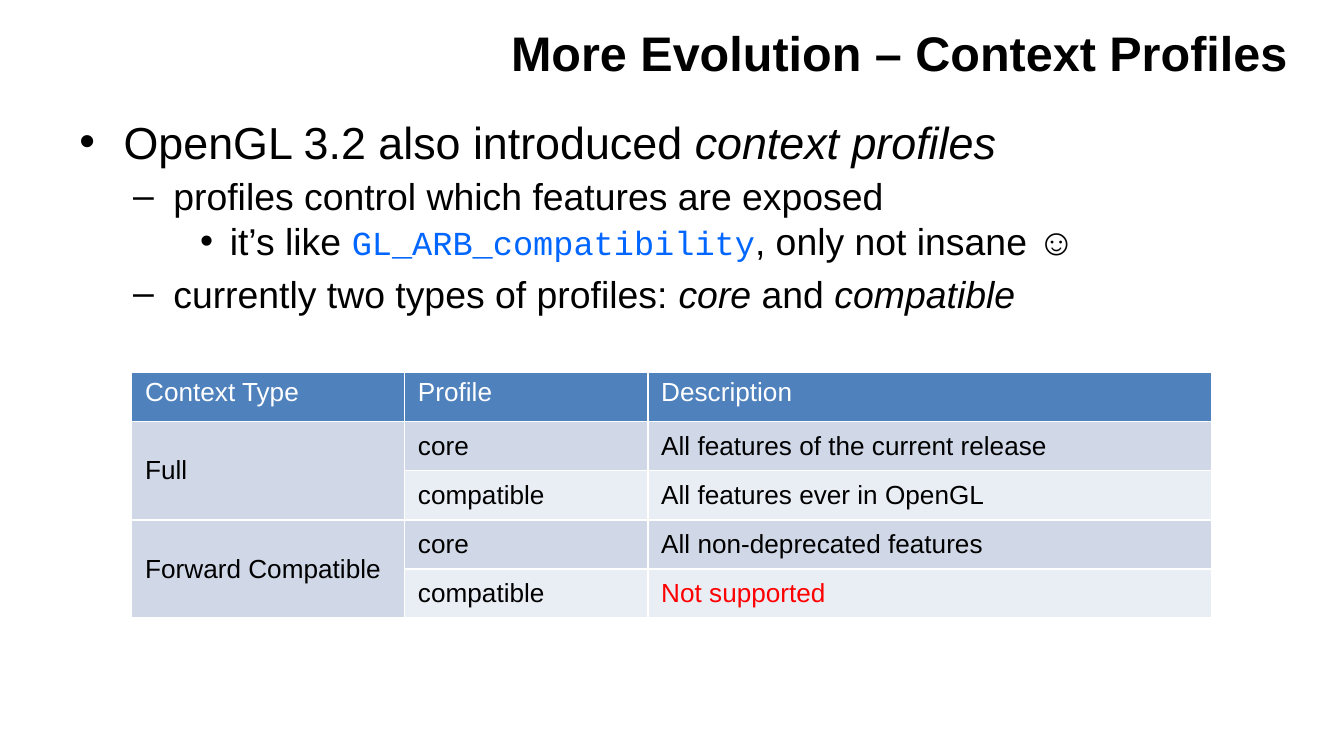
import dataclasses
import typing

import lxml.etree
import pptx
import pptx.dml.color
import pptx.enum.text
import pptx.oxml.ns
import pptx.util

Inches = pptx.util.Inches
Pt = pptx.util.Pt
Align = pptx.enum.text.PP_ALIGN
Anchor = pptx.enum.text.MSO_ANCHOR


@dataclasses.dataclass(frozen=True)
class Theme:
    font: str = "Arial"
    code_font: str = "Courier New"
    text: str = "000000"
    code: str = "0066FF"
    warning: str = "FF0000"
    white: str = "FFFFFF"
    header: str = "4F81BD"
    dark_band: str = "D0D8E8"
    light_band: str = "E9EDF4"
    title_size: int = 26
    main_size: int = 24
    detail_size: int = 20
    code_size: int = 18
    table_size: int = 14


THEME = Theme()


@dataclasses.dataclass(frozen=True)
class TextRun:
    text: str
    size: int = THEME.detail_size
    color: str = THEME.text
    font: str = THEME.font
    bold: bool = False
    italic: bool = False


@dataclasses.dataclass(frozen=True)
class BulletStyle:
    symbol: str
    margin: float
    hanging: float
    before: int = 0
    after: int = 0


@dataclasses.dataclass(frozen=True)
class Bullet:
    level: int
    runs: tuple[TextRun, ...]


BULLET_STYLES = (
    BulletStyle("•", 0.33, 0.33, before=4),
    BulletStyle("–", 0.7, 0.3, before=3),
    BulletStyle("•", 1.12, 0.22, after=1),
)

BULLETS = (
    Bullet(0, (
        TextRun("OpenGL 3.2 also introduced ", THEME.main_size),
        TextRun("context profiles", THEME.main_size, italic=True),
    )),
    Bullet(1, (TextRun("profiles control which features are exposed"),)),
    Bullet(2, (
        TextRun("it’s like "),
        TextRun("GL_ARB_compatibility", THEME.code_size, THEME.code, THEME.code_font),
        TextRun(", only not insane ☺"),
    )),
    Bullet(1, (
        TextRun("currently two types of profiles: "),
        TextRun("core", italic=True),
        TextRun(" and "),
        TextRun("compatible", italic=True),
    )),
)

COLUMN_WIDTHS = (2.03, 1.81, 4.2)
TABLE_HEIGHT = 1.83
PROFILE_ROWS = (
    ("Context Type", "Profile", "Description"),
    ("Full", "core", "All features of the current release"),
    ("", "compatible", "All features ever in OpenGL"),
    ("Forward Compatible", "core", "All non-deprecated features"),
    ("", "compatible", "Not supported"),
)


def add_run(paragraph: typing.Any, content: TextRun) -> None:
    run = paragraph.add_run()
    run.text = content.text
    run.font.name = content.font
    run.font.size = Pt(content.size)
    run.font.bold = content.bold
    run.font.italic = content.italic
    run.font.color.rgb = pptx.dml.color.RGBColor.from_string(content.color)


def prepare_frame(frame: typing.Any, anchor: Anchor) -> None:
    frame.word_wrap = True
    frame.auto_size = pptx.enum.text.MSO_AUTO_SIZE.NONE
    frame.vertical_anchor = anchor
    frame.margin_left = frame.margin_right = Inches(0.09)
    frame.margin_top = frame.margin_bottom = Inches(0.04)


def format_title(title: typing.Any) -> None:
    title.left, title.top = Inches(2.71), Inches(0.1)
    title.width, title.height = Inches(6.97), Inches(0.57)
    prepare_frame(title.text_frame, Anchor.MIDDLE)
    paragraph = title.text_frame.paragraphs[0]
    paragraph.alignment = Align.RIGHT
    add_run(paragraph, TextRun("More Evolution – Context Profiles", THEME.title_size, bold=True))


def format_bullet(paragraph: typing.Any, bullet: Bullet) -> None:
    style = BULLET_STYLES[bullet.level]
    paragraph.level = bullet.level
    paragraph.alignment = Align.LEFT
    paragraph.space_before = Pt(style.before)
    paragraph.space_after = Pt(style.after)
    properties = paragraph._p.get_or_add_pPr()
    properties.set("marL", str(Inches(style.margin)))
    properties.set("indent", str(-Inches(style.hanging)))
    qualified = pptx.oxml.ns.qn
    lxml.etree.SubElement(properties, qualified("a:buFont"), typeface=THEME.font)
    lxml.etree.SubElement(properties, qualified("a:buChar"), char=style.symbol)
    for content in bullet.runs:
        add_run(paragraph, content)


def add_bullets(slide: typing.Any) -> None:
    shape = slide.shapes.add_textbox(Inches(0.5), Inches(0.81), Inches(9), Inches(4.41))
    frame = shape.text_frame
    prepare_frame(frame, Anchor.TOP)
    for index, bullet in enumerate(BULLETS):
        paragraph = frame.add_paragraph() if index else frame.paragraphs[0]
        format_bullet(paragraph, bullet)


def add_borders(cell: typing.Any) -> None:
    properties = cell._tc.get_or_add_tcPr()
    qualified = pptx.oxml.ns.qn
    for side in ("L", "R", "T", "B"):
        line = lxml.etree.SubElement(properties, qualified(f"a:ln{side}"), w=str(Pt(1)))
        fill = lxml.etree.SubElement(line, qualified("a:solidFill"))
        lxml.etree.SubElement(fill, qualified("a:srgbClr"), val=THEME.white)


def format_cell(cell: typing.Any, text: str, fill: str, color: str, anchor: Anchor) -> None:
    add_borders(cell)
    cell.fill.solid()
    cell.fill.fore_color.rgb = pptx.dml.color.RGBColor.from_string(fill)
    cell.vertical_anchor = anchor
    cell.margin_left = cell.margin_right = Inches(0.1)
    cell.margin_top = cell.margin_bottom = Inches(0.04)
    if text:
        paragraph = cell.text_frame.paragraphs[0]
        paragraph.alignment = Align.LEFT
        add_run(paragraph, TextRun(text, THEME.table_size, color))


def add_profile_table(slide: typing.Any) -> None:
    row_count, column_count = len(PROFILE_ROWS), len(COLUMN_WIDTHS)
    table = slide.shapes.add_table(
        row_count, column_count, Inches(0.98), Inches(2.77),
        Inches(sum(COLUMN_WIDTHS)), Inches(TABLE_HEIGHT),
    ).table
    for column, width in zip(table.columns, COLUMN_WIDTHS):
        column.width = Inches(width)
    for row_index, texts in enumerate(PROFILE_ROWS):
        table.rows[row_index].height = Inches(TABLE_HEIGHT / row_count)
        is_header = row_index == 0
        band = THEME.dark_band if row_index % 2 else THEME.light_band
        for column_index, text in enumerate(texts):
            color = THEME.warning if text == "Not supported" else THEME.text
            format_cell(
                table.cell(row_index, column_index), text,
                THEME.header if is_header else band,
                THEME.white if is_header else color,
                Anchor.TOP if is_header else Anchor.MIDDLE,
            )
    for first_row in range(1, row_count, 2):
        table.cell(first_row, 0).merge(table.cell(first_row + 1, 0))


def main() -> None:
    presentation = pptx.Presentation()
    presentation.slide_width = Inches(10)
    presentation.slide_height = Inches(10 * 9 / 16)
    slide = presentation.slides.add_slide(presentation.slide_layouts[5])
    format_title(slide.shapes.title)
    add_bullets(slide)
    add_profile_table(slide)
    presentation.save("out.pptx")


if __name__ == "__main__":
    main()
